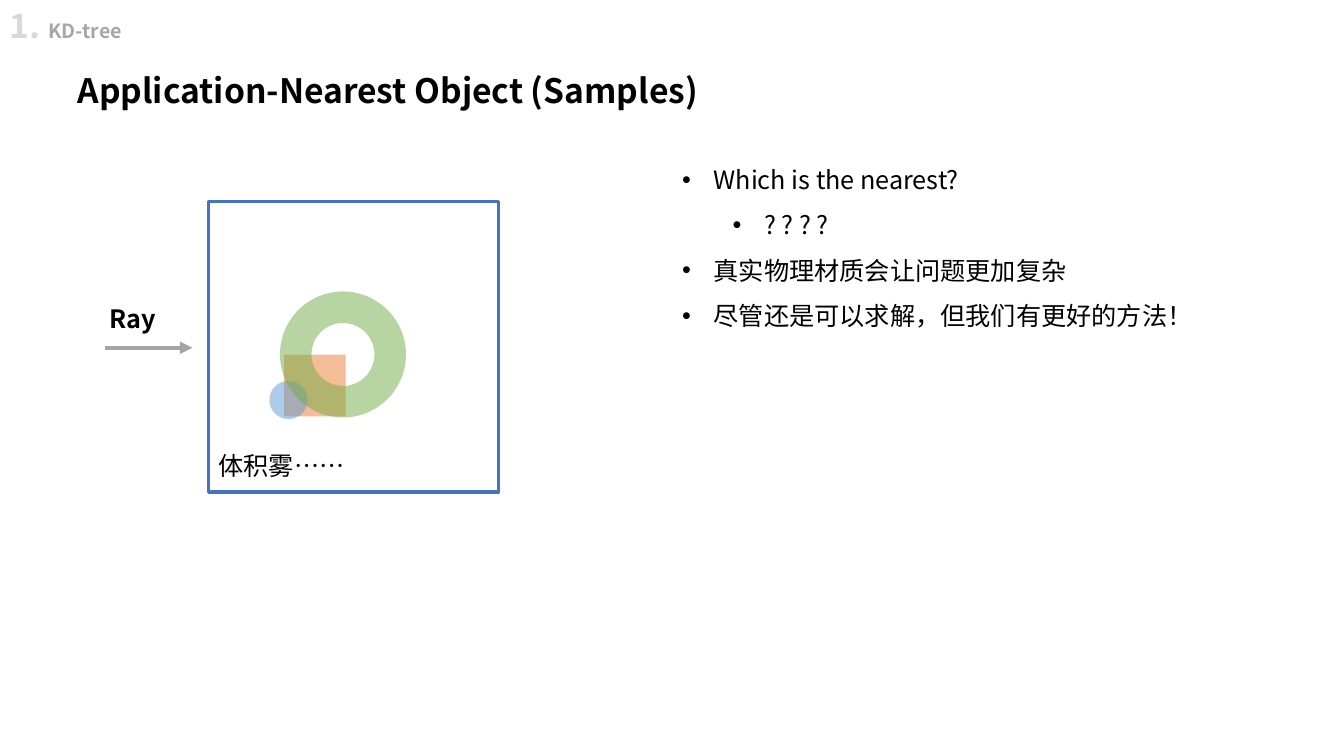
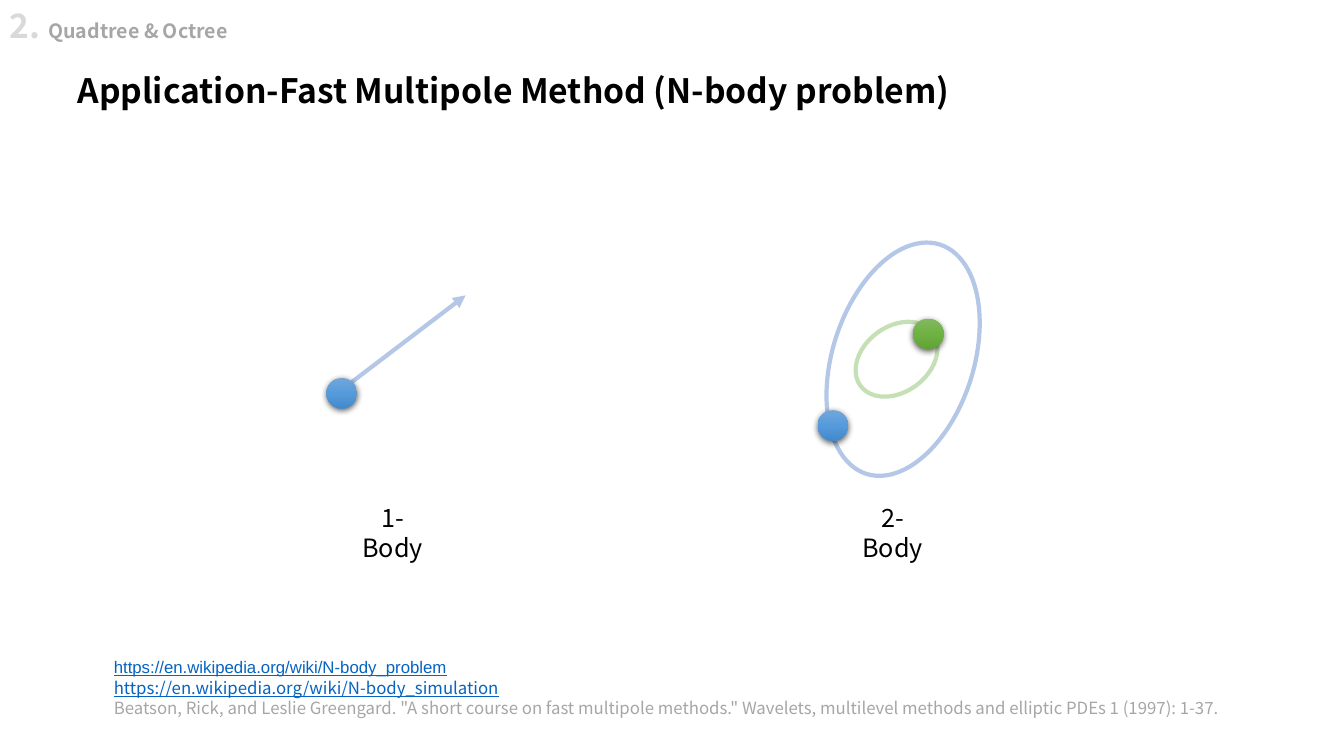
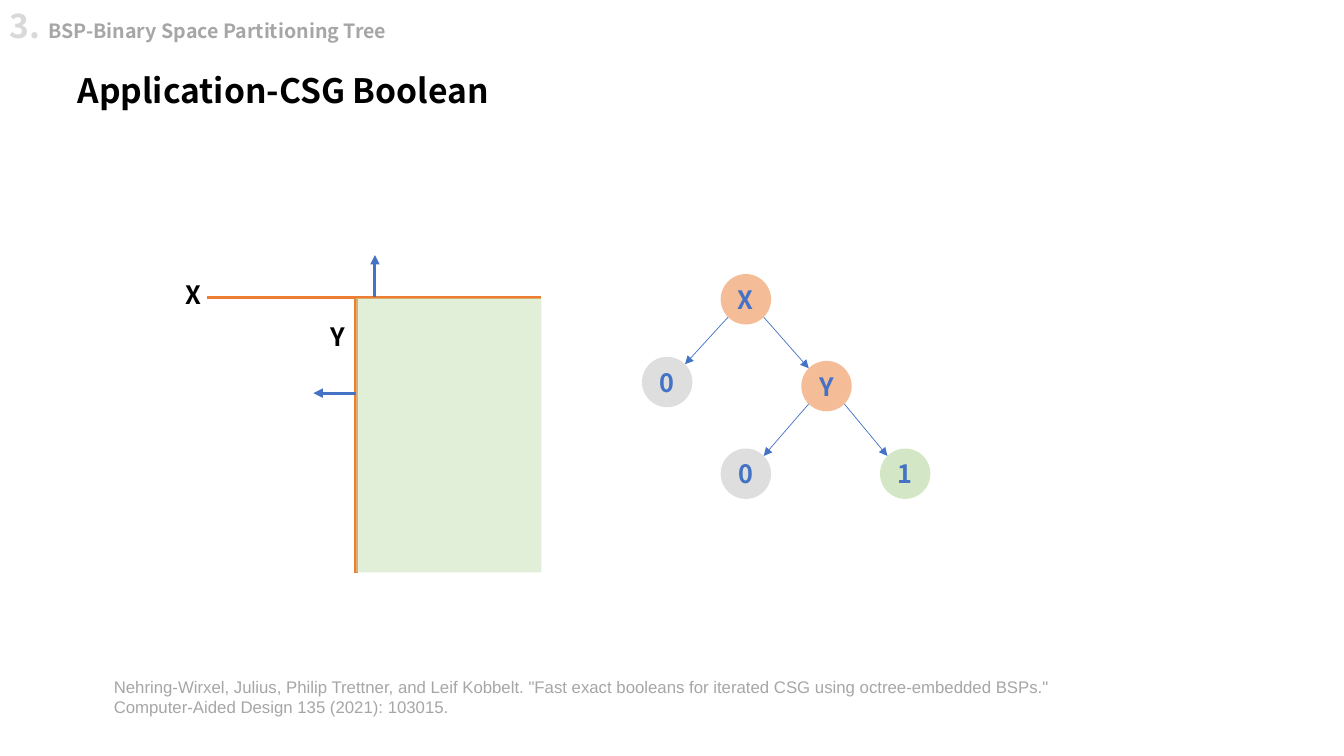
"""Builds three slides on spatial trees and their uses."""
from copy import deepcopy
from lxml.etree import SubElement
from pptx import Presentation
from pptx.dml.color import RGBColor
from pptx.enum.shapes import MSO_CONNECTOR as Link, MSO_SHAPE as Kind
from pptx.enum.text import MSO_ANCHOR as Anchor, PP_ALIGN as Align
from pptx.oxml.ns import qn
from pptx.util import Pt

tone = RGBColor.from_string
FACE = "Noto Sans CJK SC"
BLACK, GRAY, PALE = "000000", "A6A6A6", "D9D9D9"
BLUE, ORANGE, SKY, MINT = "4472C4", "ED7D31", "B4C7E7", "C5E0B4"
URL = "0563C1"


def write(frame, text, size=18, color=BLACK, bold=False, face=FACE, under=False,
          align=Align.LEFT, level=None, join=False):
    """Adds a paragraph, or a run to the last one, in the given format."""
    frame.word_wrap = True
    para = frame.paragraphs[-1]
    if para.runs and not join:
        para = frame.add_paragraph()
    para.alignment = align
    if level is not None:
        para.level = level
        para.line_spacing = 1.5
        props = para._p.get_or_add_pPr()
        props.set("marL", str(Pt(22.5 + 36 * level)))
        props.set("indent", str(-Pt(22.5)))
        SubElement(props, qn("a:buFont"), typeface="Arial")
        SubElement(props, qn("a:buChar"), char="•")
    run = para.add_run()
    run.text = text
    font = run.font
    font.size, font.bold, font.underline, font.name = Pt(size), bold, under, face
    font.color.rgb = tone(color)
    SubElement(run._r.get_or_add_rPr(), qn("a:ea"), typeface=face)


def draw(slide, kind, box, fill=None, line=None, width=3, turn=0):
    """Adds a flat shape with a half clear fill or an outline."""
    shape = slide.shapes.add_shape(kind, *map(Pt, box))
    shape.shadow.inherit = False
    shape.rotation = turn
    if fill:
        shape.fill.solid()
        shape.fill.fore_color.rgb = tone(fill)
        SubElement(shape._element.spPr.find(qn("a:solidFill"))[0], qn("a:alpha"), val="50000")
    else:
        shape.fill.background()
    if line:
        shape.line.color.rgb = tone(line)
        shape.line.width = Pt(width)
    else:
        shape.line.fill.background()
    return shape


deck = Presentation()
deck.slide_width, deck.slide_height = Pt(960), Pt(540)

heads = [
    ("KD-tree", "Application-Nearest Object (Samples)"),
    ("Quadtree & Octree", "Application-Fast Multipole Method (N-body problem)"),
    ("BSP-Binary Space Partitioning Tree", "Application-CSG Boolean"),
]
for count, (topic, head) in enumerate(heads, 1):
    slide = deck.slides.add_slide(deck.slide_layouts[5])
    title = slide.shapes.title
    title.left, title.top, title.width, title.height = map(Pt, (48.2, 46, 863, 36))
    title.text_frame.vertical_anchor = Anchor.TOP
    write(title.text_frame, head, size=24, bold=True)
    band = slide.shapes.add_textbox(0, 0, Pt(863), Pt(36)).text_frame
    write(band, f"{count}. ", size=24, color=PALE, bold=True)
    write(band, topic, size=14, color=GRAY, bold=True, join=True)
near, body, solid = deck.slides

SIDE = 36
REACH = SIDE / 2 * 0.707
nodes = [
    ("X", 514.8, 195.8, ORANGE),
    ("Y", 572.4, 257.8, ORANGE),
    ("1", 628.6, 320.4, "A9D18E"),
    ("0", 458.6, 254.9, "BFBFBF"),
    ("0", 514.8, 320.4, "BFBFBF"),
]
lines = [
    (near, (74.9, 248.4, 137.5, 248.4), "A5A5A5", 3, True),
    (body, (251.3, 272.9, 332.6, 211), SKY, 3, True),
    (solid, (254.3, 212.5, 254.3, 409), ORANGE, 2.25, False),
    (solid, (386.6, 212.5, 147.6, 212.5), ORANGE, 2.25, False),
    (solid, (267.8, 212.5, 267.8, 182.2), BLUE, 2.25, True),
    (solid, (254.3, 280.8, 223.9, 280.8), BLUE, 2.25, True),
]
for top, low, way in [(0, 3, -1), (0, 1, 1), (1, 4, -1), (1, 2, 1)]:
    (x1, y1), (x2, y2) = [(x + SIDE / 2, y + SIDE / 2) for _, x, y, _ in (nodes[top], nodes[low])]
    ends = (x1 + way * REACH, y1 + REACH, x2 - way * REACH, y2 - REACH)
    lines.append((solid, ends, BLUE, 0.5, True))

for slide, ends, color, width, arrow in lines:
    link = slide.shapes.add_connector(Link.STRAIGHT, *map(Pt, ends))
    link.line.color.rgb = tone(color)
    link.line.width = Pt(width)
    if arrow:
        SubElement(link.line._get_or_add_ln(), qn("a:tailEnd"), type="triangle")
    SubElement(link._element.spPr, qn("a:effectLst"))

draw(near, Kind.RECTANGLE, (203, 253.4, 44, 44), fill=ORANGE)
draw(near, Kind.OVAL, (192.4, 272, 27.4, 27.4), fill="5B9BD5", turn=339.2)
draw(near, Kind.DONUT, (200, 208.2, 90, 90), fill="70AD47", turn=339.2)
draw(near, Kind.RECTANGLE, (149, 144, 207.4, 207.4), line=BLUE, width=2.25)

draw(body, Kind.OVAL, (617, 224.6, 46.8, 64), line=MINT, turn=53.6)
draw(body, Kind.OVAL, (594.7, 170.6, 100.8, 172), line=SKY, turn=17.8)
blues, greens = ("71A6DB", "559BDB", "448ACA"), ("81B861", "6FB242", "62A336")
for x, y, shades in [(233.2, 270, blues), (584, 293, blues), (652.2, 227.5, greens)]:
    dot = draw(body, Kind.OVAL, (x, y, 21.8, 21.8))
    dot.fill.gradient()
    dot.fill.gradient_angle = 270
    props = dot._element.spPr
    stops = props.find(".//" + qn("a:gsLst"))
    stops.append(deepcopy(stops[0]))
    for stop, place, shade in zip(dot.fill.gradient_stops, (0, 0.5, 1), shades):
        stop.position = place
        stop.color.rgb = tone(shade)
    glow = SubElement(props.find(qn("a:effectLst")), qn("a:outerShdw"), blurRad=str(Pt(4.5)),
                      dist=str(Pt(1.5)), dir="5400000", algn="ctr", rotWithShape="0")
    SubElement(SubElement(glow, qn("a:srgbClr"), val=BLACK), qn("a:alpha"), val="63000")

for name, x, y, color in nodes:
    node = draw(solid, Kind.OVAL, (x, y, SIDE, SIDE), fill=color)
    write(node.text_frame, name, color=BLUE, bold=True, align=Align.CENTER)
draw(solid, Kind.RECTANGLE, (254.3, 213, 132.5, 196), fill=MINT)

strong, mid = dict(bold=True), dict(align=Align.CENTER)
cite = dict(size=12, color=GRAY)
plain = dict(cite, face="Arial")
notes = [
    (near, (480.2, 103, 405, 167), [
        ("Which is the nearest?", dict(level=0)),
        ("? ? ? ?", dict(level=1)),
        ("真实物理材质会让问题更加复杂", dict(level=0)),
        ("尽管还是可以求解，但我们有更好的方法！", dict(level=0)),
    ]),
    (near, (71.3, 213, 63, 29), [("Ray", strong)]),
    (near, (149, 318.2, 151, 29), [("体积雾……", {})]),
    (body, (248.4, 355, 64, 52), [("1-Body", mid)]),
    (body, (605.6, 355, 64, 52), [("2-Body", mid)]),
    (body, (74.2, 465.8, 811, 51), [
        ("https://en.wikipedia.org/wiki/N-body_problem", dict(plain, color=URL, under=True)),
        ("https://en.wikipedia.org/wiki/N-body_simulation", dict(cite, color=URL, under=True)),
        ('Beatson, Rick, and Leslie Greengard. "A short course on fast multipole methods." '
         "Wavelets, multilevel methods and elliptic PDEs 1 (1997): 1-37.", cite),
    ]),
    (solid, (125.3, 195.8, 30, 29), [("X", strong)]),
    (solid, (229, 226, 30, 29), [("Y", strong)]),
    (solid, (74.2, 479.5, 811, 36), [
        ('Nehring-Wirxel, Julius, Philip Trettner, and Leif Kobbelt. "Fast exact booleans '
         'for iterated CSG using octree-embedded BSPs."', plain),
        ("Computer-Aided Design 135 (2021): 103015.", plain),
    ]),
]
for slide, box, paras in notes:
    frame = slide.shapes.add_textbox(*map(Pt, box)).text_frame
    for text, style in paras:
        write(frame, text, **style)

deck.save("out.pptx")
